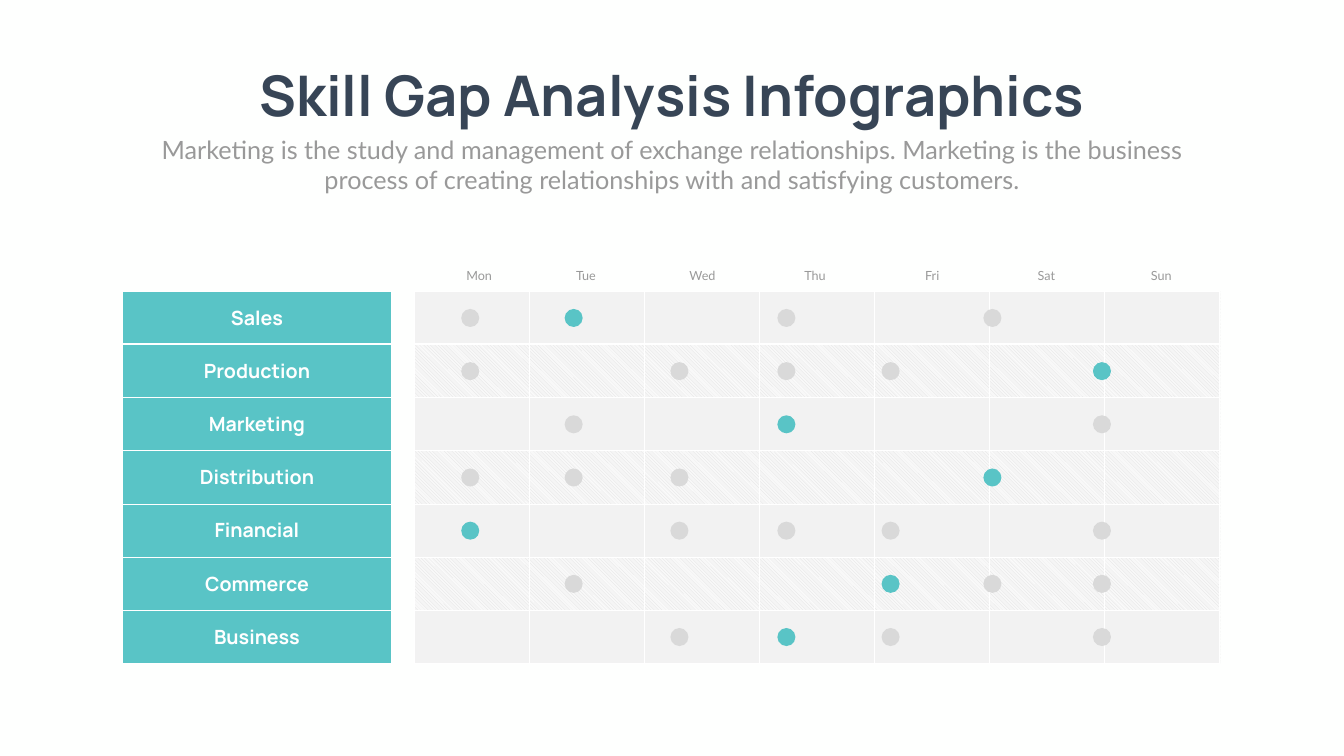
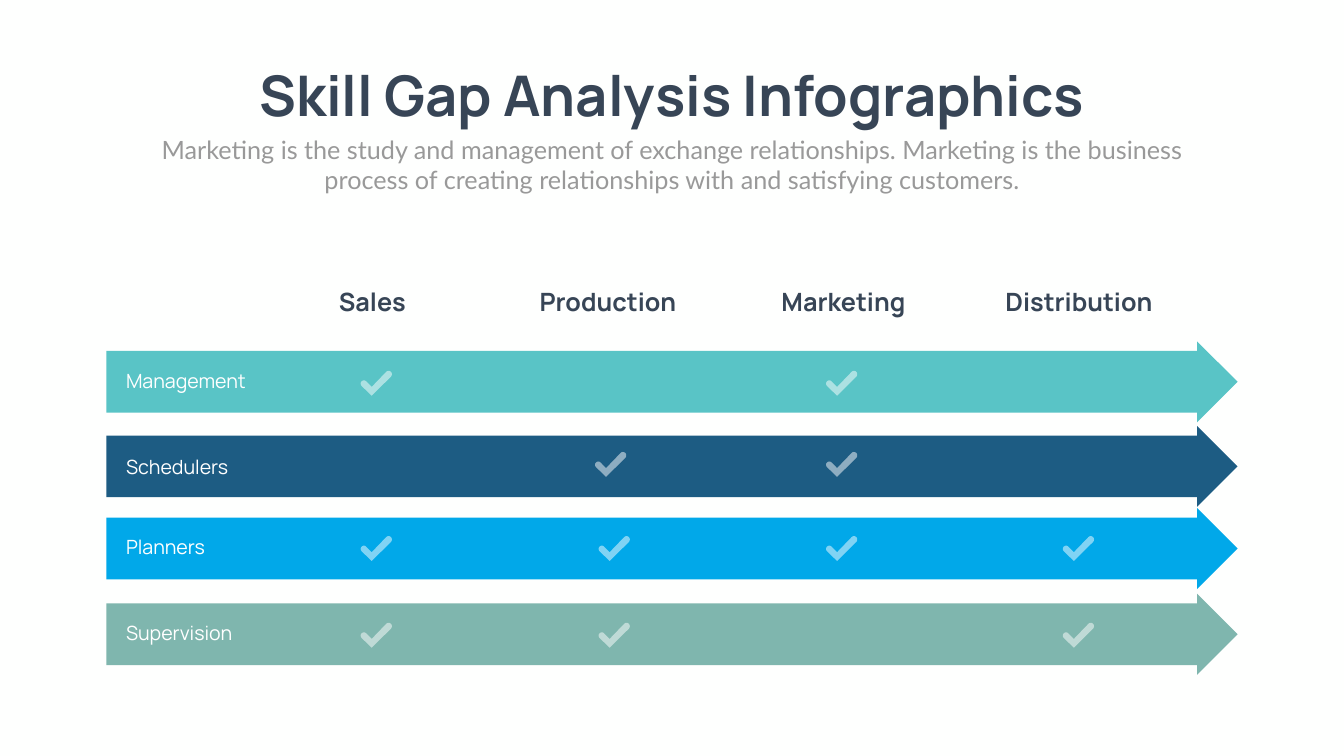
from dataclasses import dataclass

from lxml.etree import SubElement
from pptx import Presentation
from pptx.dml.color import RGBColor as RGB
from pptx.enum.dml import MSO_PATTERN as Pattern
from pptx.enum.shapes import MSO_SHAPE as Shape
from pptx.enum.text import MSO_ANCHOR as Anchor, MSO_AUTO_SIZE as AutoSize, PP_ALIGN as Align
from pptx.oxml.ns import qn
from pptx.util import Cm, Pt


# Theme
@dataclass(frozen=True)
class Type:
    font: str
    size: int
    color: str
    bold: bool = False


@dataclass(frozen=True)
class Theme:
    page: str = "FEFFFE"
    white: str = "FFFFFF"
    teal: str = "59C4C6"
    navy: str = "1D5C83"
    sky: str = "01A8E9"
    sage: str = "7FB6AE"
    dot: str = "D9D9D9"
    band: str = "F2F2F2"
    title: Type = Type("Manrope", 80, "374556", True)
    subtitle: Type = Type("Lato", 36, "999999")
    day: Type = Type("Lato", 18, "999999")
    skill: Type = Type("Manrope", 28, "FFFFFF", True)
    team: Type = Type("Manrope", 36, "374556", True)
    role: Type = Type("Manrope", 28, "FFFFFF")


THEME = Theme()
TITLE = "Skill Gap Analysis Infographics"
SUBTITLE = ("Marketing is the study and management of exchange relationships. "
            "Marketing is the business process of creating relationships with "
            "and satisfying customers.")
NO_TABLE_STYLE = "{2D5ABB26-0587-4C30-8999-92F81FD0307C}"


# Content
@dataclass(frozen=True)
class Day:
    name: str
    label_left: float
    dot_left: float


@dataclass(frozen=True)
class Skill:
    name: str
    marks: str  # one sign per day: o = grey dot, X = accent dot


@dataclass(frozen=True)
class Role:
    name: str
    color: str
    arrow_top: float
    label_top: float
    check_top: float
    check_lefts: tuple[float, ...]


DAYS = (
    Day("Mon", 21.59, 23.24),
    Day("Tue", 26.97, 28.45),
    Day("Wed", 32.84, 33.78),
    Day("Thu", 38.51, 39.17),
    Day("Fri", 44.42, 44.42),
    Day("Sat", 50.17, 49.55),
    Day("Sun", 55.96, 55.07),
)
SKILLS = (
    Skill("Sales", "oX.o.o."),
    Skill("Production", "o.ooo.X"),
    Skill("Marketing", ".o.X..o"),
    Skill("Distribution", "ooo..X."),
    Skill("Financial", "X.ooo.o"),
    Skill("Commerce", ".o..Xoo"),
    Skill("Business", "..oXo.o"),
)
TEAMS = ("Sales", "Production", "Marketing", "Distribution")
SALES, PRODUCTION, MARKETING, DISTRIBUTION = 18.16, 30.15, 41.61, 53.54
ROLES = (
    Role("Management", THEME.teal, 17.2, 18.47, 18.67, (SALES, MARKETING)),
    Role("Schedulers", THEME.navy, 21.46, 22.78, 22.76, (29.97, MARKETING)),
    Role("Planners", THEME.sky, 25.6, 26.85, 27.0,
         (SALES, PRODUCTION, MARKETING, DISTRIBUTION)),
    Role("Supervision", THEME.sage, 29.92, 31.17, 31.37,
         (SALES, PRODUCTION, DISTRIBUTION)),
)

# Check mark outline in cm: line ends are single points, curves are three
CHECK_START = (0.57, 1.27)
CHECK_STEPS = (
    ((0.06, 0.78),),
    ((0, 0.71), (0, 0.61), (0.06, 0.55)),
    ((0.13, 0.48), (0.23, 0.48), (0.29, 0.55)),
    ((0.57, 0.83),),
    ((1.3, 0.07),),
    ((1.37, 0), (1.47, 0), (1.54, 0.07)),
    ((1.6, 0.13), (1.6, 0.24), (1.54, 0.31)),
)


# Text and fills
def write(frame, text: str, style: Type, align=Align.CENTER) -> None:
    frame.text = text
    paragraph = frame.paragraphs[0]
    paragraph.alignment = align
    font = paragraph.font
    font.name, font.size, font.bold = style.font, Pt(style.size), style.bold
    font.color.rgb = RGB.from_string(style.color)


def add_text(slide, box: tuple[float, ...], text: str, style: Type,
             align=Align.CENTER, anchor=Anchor.TOP) -> None:
    frame = slide.shapes.add_textbox(*map(Cm, box)).text_frame
    frame.word_wrap = True
    frame.auto_size = AutoSize.SHAPE_TO_FIT_TEXT
    frame.vertical_anchor = anchor
    write(frame, text, style, align)


def paint(shape, color: str) -> None:
    shape.shadow.inherit = False
    shape.line.fill.background()
    shape.fill.solid()
    shape.fill.fore_color.rgb = RGB.from_string(color)


def add_shape(slide, kind, box: tuple[float, ...], color: str):
    shape = slide.shapes.add_shape(kind, *map(Cm, box))
    paint(shape, color)
    return shape


# Tables
def add_table(slide, rows: int, columns: int, box: tuple[float, ...]):
    table = slide.shapes.add_table(rows, columns, *map(Cm, box)).table
    table.first_row = table.horz_banding = False
    table._tbl.tblPr.find(qn("a:tableStyleId")).text = NO_TABLE_STYLE
    for column in table.columns:
        column.width = Cm(box[2] / columns)
    for row in table.rows:
        row.height = Cm(box[3] / rows)
    for cell in table.iter_cells():
        cell.vertical_anchor = Anchor.MIDDLE
        cell.fill.background()
    return table


def rule_cells(table) -> None:
    """White rules, heavier between the first two rows."""
    for row_index, row in enumerate(table.rows):
        widths = {"L": 1, "R": 1, "T": 3 if row_index == 1 else 1,
                  "B": 3 if row_index == 0 else 1}
        for cell in row.cells:
            properties = cell._tc.get_or_add_tcPr()
            for position, (side, width) in enumerate(widths.items()):
                line = SubElement(properties, qn(f"a:ln{side}"), w=str(Pt(width)))
                fill = SubElement(line, qn("a:solidFill"))
                SubElement(fill, qn("a:srgbClr"), val=THEME.white)
                properties.insert(position, line)


def fill_cell(cell, color: str) -> None:
    cell.fill.solid()
    cell.fill.fore_color.rgb = RGB.from_string(color)


# Check marks
def curve_points(start, first, second, end, steps: int = 6):
    for step in range(1, steps + 1):
        t = step / steps
        yield tuple((1 - t) ** 3 * a + 3 * (1 - t) ** 2 * t * b
                    + 3 * (1 - t) * t ** 2 * c + t ** 3 * d
                    for a, b, c, d in zip(start, first, second, end))


def check_points() -> list[tuple[float, float]]:
    points = [CHECK_START]
    for step in CHECK_STEPS:
        points.extend(step if len(step) == 1 else curve_points(points[-1], *step))
    return points


def add_check(slide, left: float, top: float) -> None:
    start, *rest = [(Cm(x), Cm(y)) for x, y in check_points()]
    builder = slide.shapes.build_freeform(*start)
    builder.add_line_segments(rest, close=True)
    check = builder.convert_to_shape(Cm(left), Cm(top))
    paint(check, THEME.white)
    color = check._element.spPr.find(qn("a:solidFill")).find(qn("a:srgbClr"))
    SubElement(color, qn("a:alpha"), val="50000")


# Slides
def add_slide(deck):
    slide = deck.slides.add_slide(deck.slide_layouts[5])
    slide.background.fill.solid()
    slide.background.fill.fore_color.rgb = RGB.from_string(THEME.page)
    title = slide.shapes.title
    title.left, title.top, title.width, title.height = map(Cm, (11, 2.9, 45.74, 3.68))
    frame = title.text_frame
    frame.word_wrap = False
    frame.auto_size = AutoSize.SHAPE_TO_FIT_TEXT
    frame.vertical_anchor = Anchor.TOP
    write(frame, TITLE, THEME.title)
    add_text(slide, (7.42, 6.63, 52.88, 3.33), SUBTITLE, THEME.subtitle)
    return slide


def build_week(deck) -> None:
    slide = add_slide(deck)
    top, height = 14.68, 18.75

    # Hatched ground shows through every second row
    hatch = add_shape(slide, Shape.RECTANGLE, (20.88, top, 40.61, height), THEME.white)
    hatch.fill.patterned()
    hatch.fill.pattern = Pattern.LIGHT_DOWNWARD_DIAGONAL
    hatch.fill.fore_color.rgb = RGB.from_string(THEME.dot)
    hatch.fill.back_color.rgb = RGB.from_string(THEME.white)

    week = add_table(slide, len(SKILLS), len(DAYS), (20.9, top, 40.56, height))
    rule_cells(week)
    for row_index in range(0, len(SKILLS), 2):
        for cell in week.rows[row_index].cells:
            fill_cell(cell, THEME.band)

    for day in DAYS:
        add_text(slide, (day.label_left, 13.36, 5.11, 1.02), day.name, THEME.day,
                 anchor=Anchor.MIDDLE)

    # Dots
    for row_index, skill in enumerate(SKILLS):
        for day, mark in zip(DAYS, skill.marks):
            if mark != ".":
                add_shape(slide, Shape.OVAL,
                          (day.dot_left, 15.57 + 2.68 * row_index, 0.91, 0.91),
                          THEME.teal if mark == "X" else THEME.dot)

    # Skill names
    names = add_table(slide, len(SKILLS), 1, (6.15, top, 13.59, height))
    rule_cells(names)
    for cell, skill in zip(names.iter_cells(), SKILLS):
        fill_cell(cell, THEME.teal)
        write(cell.text_frame, skill.name, THEME.skill)


def build_roles(deck) -> None:
    slide = add_slide(deck)
    teams = add_table(slide, len(ROLES) + 1, len(TEAMS), (12.83, 13.13, 47.47, 20.88))
    for cell, team in zip(teams.rows[0].cells, TEAMS):
        write(cell.text_frame, team, THEME.team)

    for role in ROLES:
        arrow = add_shape(slide, Shape.RIGHT_ARROW, (5.36, role.arrow_top, 57, 4.09),
                          role.color)
        arrow.adjustments[0] = 0.76
    for role in ROLES:
        add_text(slide, (6.1, role.label_top, 7.9, 1.45), role.name, THEME.role,
                 Align.LEFT)
        for left in role.check_lefts:
            add_check(slide, left, role.check_top)


def main() -> None:
    deck = Presentation()
    deck.slide_width, deck.slide_height = Cm(67.72), Cm(38.1)
    build_week(deck)
    build_roles(deck)
    deck.save("out.pptx")


if __name__ == "__main__":
    main()
